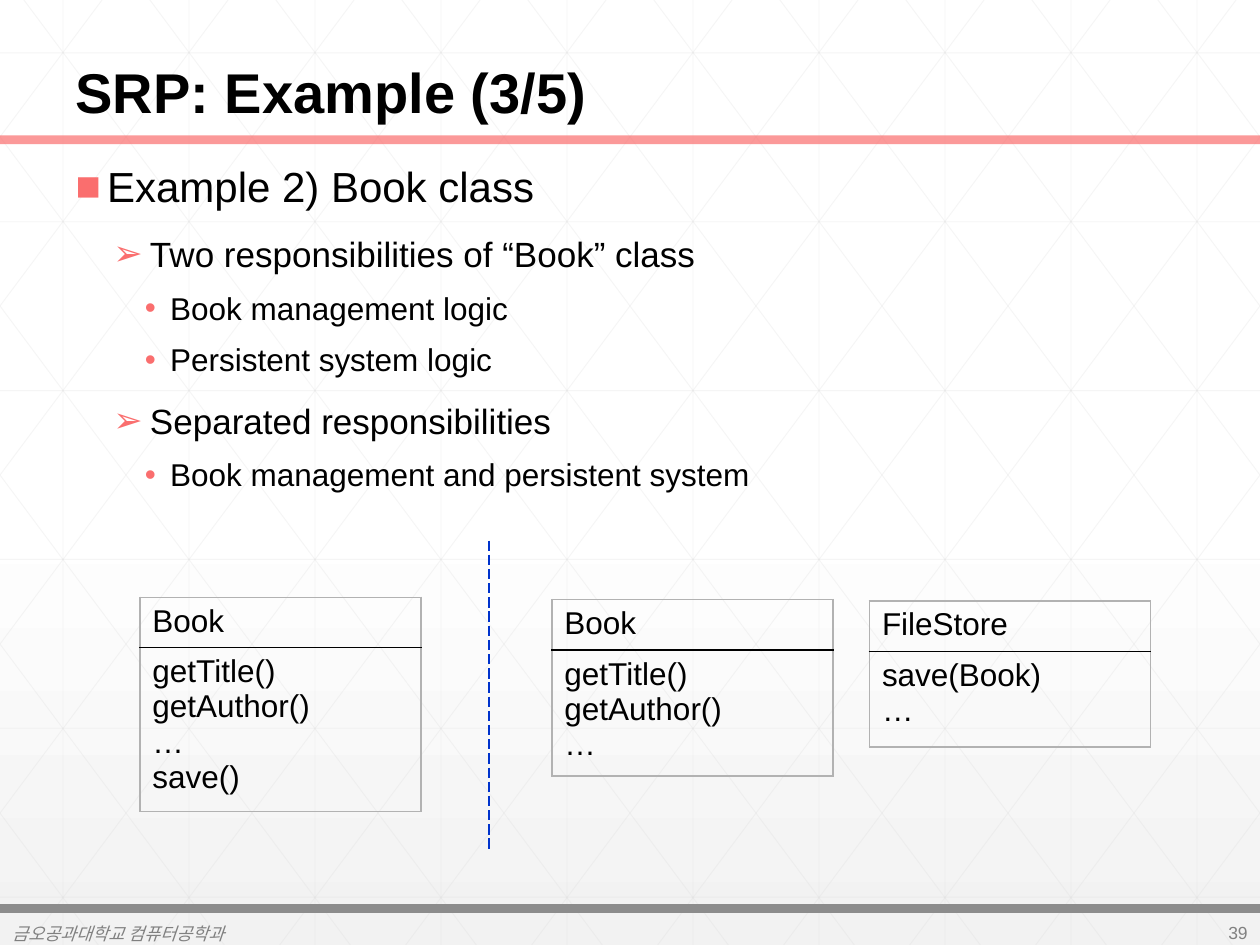
from dataclasses import dataclass

from lxml.etree import SubElement
from pptx import Presentation
from pptx.dml.color import RGBColor
from pptx.enum.dml import MSO_LINE
from pptx.enum.shapes import MSO_CONNECTOR
from pptx.enum.text import MSO_ANCHOR, MSO_AUTO_SIZE, PP_ALIGN
from pptx.oxml import parse_xml
from pptx.oxml.ns import nsdecls, qn
from pptx.util import Inches, Pt


@dataclass
class Theme:
    font: str = "Arial"
    text: str = "000000"
    muted: str = "808080"
    accent: str = "FA6E6E"
    footer_rule: str = "8C8C8C"
    grid: str = "D9D9D9"
    divider: str = "0033CC"
    table_frame: str = "B2B2B2"
    background_top: str = "FFFFFF"
    background_bottom: str = "F2F2F2"
    title_size: int = 32
    level_sizes: tuple = (24, 20, 18)
    table_size: int = 18
    footer_size: int = 10


theme = Theme()


def write(paragraph, text, size, color=theme.text, bold=False, italic=False,
          align=PP_ALIGN.LEFT, line_spacing=1.0, space_before=0):
    paragraph.alignment = align
    paragraph.line_spacing = line_spacing
    paragraph.space_before = Pt(space_before)
    run = paragraph.add_run()
    run.text = text
    run.font.name = theme.font
    run.font.size = Pt(size)
    run.font.bold = bold
    run.font.italic = italic
    run.font.color.rgb = RGBColor.from_string(color)


def draw_line(start, end, color, width, opacity=100, dash=None):
    line = slide.shapes.add_connector(
        MSO_CONNECTOR.STRAIGHT, *(Inches(value) for value in (*start, *end)))
    line.line.color.rgb = RGBColor.from_string(color)
    line.line.width = Pt(width)
    if dash:
        line.line.dash_style = dash
    if opacity < 100:
        rgb = line._element.spPr.find(".//" + qn("a:srgbClr"))
        SubElement(rgb, qn("a:alpha"), val=str(opacity * 1000))
    SubElement(line._element.spPr, qn("a:effectLst"))


WIDTH, HEIGHT = 10, 7.5
presentation = Presentation()
presentation.slide_width, presentation.slide_height = Inches(WIDTH), Inches(HEIGHT)
slide = presentation.slides.add_slide(presentation.slide_layouts[1])

# Background: white, fading to light grey in the lower half
backdrop = slide.background.fill
backdrop.gradient()
backdrop.gradient_angle = 270
fade = ((0.53, theme.background_top), (1, theme.background_bottom))
for stop, (position, color) in zip(backdrop.gradient_stops, fade):
    stop.position = position
    stop.color.rgb = RGBColor.from_string(color)

# Faint grid: verticals, horizontals, and mirrored diagonals cut at the edges
grid_lines = [((0.5 + i, 0), (0.5 + i, HEIGHT)) for i in range(10)]
grid_lines += [((0, 0.42 + 1.34 * i), (WIDTH, 0.42 + 1.34 * i)) for i in range(6)]
RUN = 5.59
for i in range(-5, 10):
    top_x = 0.19 + i
    left, right = max(top_x, 0), min(top_x + RUN, WIDTH)
    left_y, right_y = ((x - top_x) * HEIGHT / RUN for x in (left, right))
    grid_lines.append(((left, left_y), (right, right_y)))
    grid_lines.append(((WIDTH - left, left_y), (WIDTH - right, right_y)))
for start, end in grid_lines:
    draw_line(start, end, theme.grid, 0.5, opacity=25)

# Rules under the title and above the footer
for y, color in ((1.11, theme.accent), (7.21, theme.footer_rule)):
    draw_line((0, y), (WIDTH, y), color, 5, opacity=70 if y < 2 else 100)

# Title and body placeholders, brought in front of the grid
title, body = slide.shapes.title, slide.placeholders[1]
for placeholder, top, height, anchor in ((body, 1.27, 5.83, MSO_ANCHOR.TOP),
                                         (title, 0, 1.05, MSO_ANCHOR.BOTTOM)):
    placeholder._element.getparent().append(placeholder._element)
    placeholder.left, placeholder.top = Inches(0.5), Inches(top)
    placeholder.width, placeholder.height = Inches(9), Inches(height)
    placeholder.text_frame.auto_size = MSO_AUTO_SIZE.NONE
    placeholder.text_frame.vertical_anchor = anchor
write(title.text_frame.paragraphs[0], "SRP: Example (3/5)", theme.title_size,
      bold=True, line_spacing=0.9)

# Bulleted outline: bullet, indent, hanging, line spacing, space before by level
levels = (("■", 0.25, 0.25, 0.9, 0), ("➢", 0.59, 0.29, 1.0, 12), ("•", 0.75, 0.2, 1.0, 8))
outline = (
    (0, "Example 2) Book class"),
    (1, "Two responsibilities of “Book” class"),
    (2, "Book management logic"),
    (2, "Persistent system logic"),
    (1, "Separated responsibilities"),
    (2, "Book management and persistent system"),
)
for i, (level, text) in enumerate(outline):
    bullet, indent, hanging, line_spacing, space_before = levels[level]
    item = body.text_frame.add_paragraph() if i else body.text_frame.paragraphs[0]
    item.level = level
    properties = item._p.get_or_add_pPr()
    properties.set("marL", str(Inches(indent)))
    properties.set("indent", str(-Inches(hanging)))
    bullet_color = SubElement(properties, qn("a:buClr"))
    SubElement(bullet_color, qn("a:srgbClr"), val=theme.accent)
    SubElement(properties, qn("a:buFont"), typeface=theme.font)
    SubElement(properties, qn("a:buChar"), char=bullet)
    write(item, text, theme.level_sizes[level],
          line_spacing=line_spacing, space_before=space_before)

# Footer: department and page number
footers = (
    (0, 7.29, 5.03, "금오공과대학교 컴퓨터공학과", True, PP_ALIGN.LEFT),
    (9.25, 7.28, 0.75, "39", False, PP_ALIGN.RIGHT),
)
for left, top, width, text, italic, align in footers:
    footer = slide.shapes.add_textbox(Inches(left), Inches(top), Inches(width), Inches(0.24))
    footer.text_frame.word_wrap = True
    footer.text_frame.vertical_anchor = MSO_ANCHOR.MIDDLE
    write(footer.text_frame.paragraphs[0], text, theme.footer_size,
          color=theme.muted, italic=italic, align=align)

# Class diagrams: name row above the methods row
HEADER_HEIGHT = 0.38
classes = (
    (1.11, 4.74, 1.6, "Book", ("getTitle()", "getAuthor()", "…", "save()")),
    (4.38, 4.76, 1.32, "Book", ("getTitle()", "getAuthor()", "…")),
    (6.9, 4.77, 1.14, "FileStore", ("save(Book)", "…")),
)
for left, top, height, name, methods in classes:
    class_table = slide.shapes.add_table(
        2, 1, Inches(left), Inches(top), Inches(2.23), Inches(height)).table
    class_table.first_row = class_table.horz_banding = False
    class_table.rows[0].height = Inches(HEADER_HEIGHT)
    class_table.rows[1].height = Inches(height - HEADER_HEIGHT)
    for row, (lines, inner_side) in enumerate((((name,), "lnB"), (methods, "lnT"))):
        cell = class_table.cell(row, 0)
        cell.fill.background()
        for i, text in enumerate(lines):
            frame = cell.text_frame
            write(frame.add_paragraph() if i else frame.paragraphs[0], text, theme.table_size)
        for order, side in enumerate(("lnL", "lnR", "lnT", "lnB")):
            color = theme.text if side == inner_side else theme.table_frame
            cell._tc.get_or_add_tcPr().insert(order, parse_xml(
                f'<a:{side} {nsdecls("a")} w="{Pt(1)}"><a:solidFill>'
                f'<a:srgbClr val="{color}"/></a:solidFill></a:{side}>'))

# Divider between the single class and the separated classes
draw_line((3.88, 4.29), (3.88, 6.75), theme.divider, 0.75, dash=MSO_LINE.LONG_DASH)

presentation.save("out.pptx")
